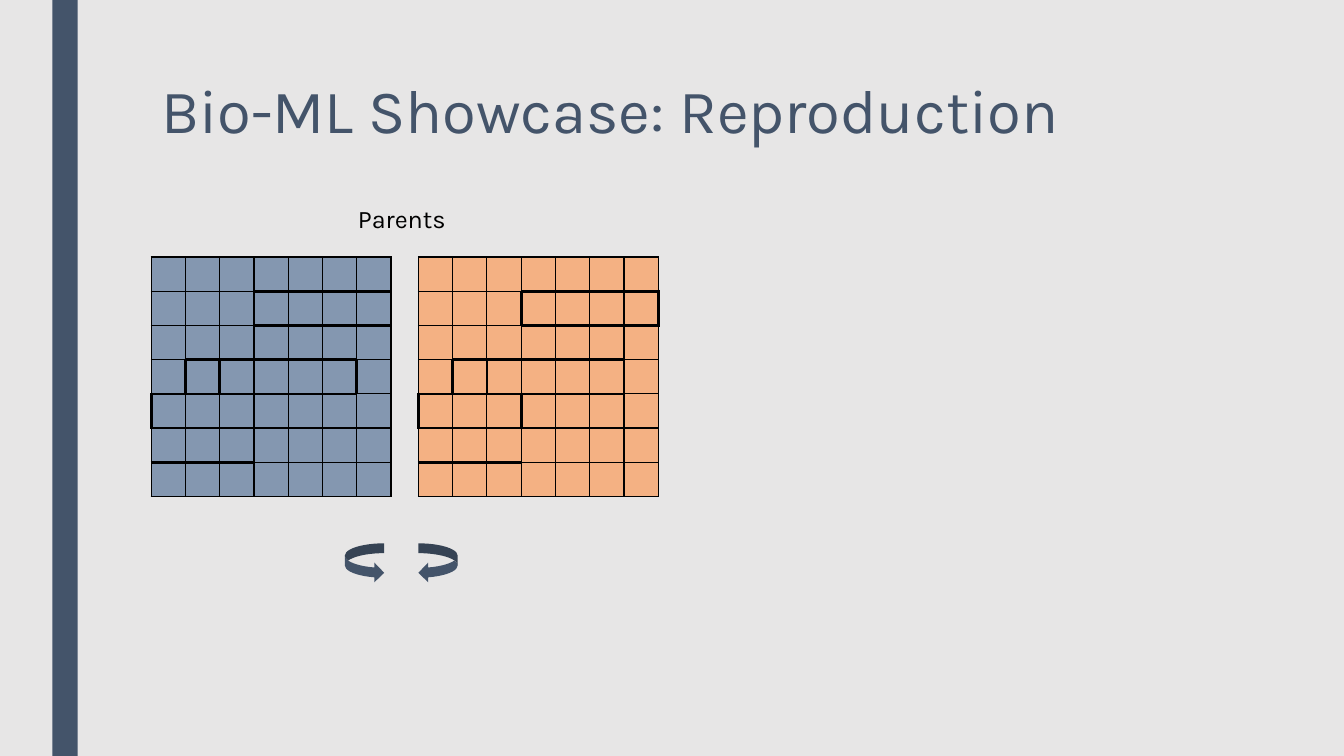
"""Build the Bio-ML reproduction slide with two parent grids and mating arrows."""
from dataclasses import dataclass
from itertools import product

from lxml.etree import SubElement
from pptx import Presentation
from pptx.dml.color import RGBColor
from pptx.enum.shapes import MSO_SHAPE as Shape
from pptx.enum.text import PP_ALIGN as Align
from pptx.oxml.ns import qn
from pptx.util import Inches, Length, Pt

NAVY = RGBColor(0x44, 0x54, 0x6A)
BLACK = RGBColor(0x00, 0x00, 0x00)
GREY = RGBColor(0xE7, 0xE6, 0xE6)
BLUE = RGBColor(0x84, 0x97, 0xB0)
ORANGE = RGBColor(0xF4, 0xB1, 0x83)

FONT = "Karla"
SLIDE_WIDTH, SLIDE_HEIGHT = Inches(13.33), Inches(7.5)
GRID_SIZE = 7
THIN, THICK = Pt(1), Pt(2.25)
OFFSETS = {"L": (0, -1, "R"), "R": (0, 1, "L"), "T": (-1, 0, "B"), "B": (1, 0, "T")}


@dataclass(frozen=True)
class Area:
    """A rectangle in percent of the slide's width and height."""
    left: float
    top: float
    width: float
    height: float

    def lengths(self) -> tuple[Length, Length, Length, Length]:
        """Return left, top, width and height as slide lengths."""
        return (across(self.left), down(self.top), across(self.width), down(self.height))


@dataclass(frozen=True)
class Label:
    """A line of text and its look."""
    text: str
    area: Area
    size: int
    color: RGBColor
    align: Align = Align.LEFT
    spacing: float = 1.0


@dataclass(frozen=True)
class Block:
    """A shape without outline."""
    kind: Shape
    area: Area


@dataclass(frozen=True)
class Gene:
    """A run of cells in one row with heavy sides."""
    row: int
    first: int
    last: int
    sides: str = "LRTB"


@dataclass(frozen=True)
class Parent:
    """A coloured grid and its left edge in percent."""
    left: float
    color: RGBColor


LABELS = (
    Label("Bio-ML Showcase: Reproduction", Area(11.25, 10, 78.77, 21.6), 44, NAVY, spacing=0.89),
    Label("Parents", Area(24.53, 26.27, 10.73, 5.33), 18, BLACK, Align.CENTER),
)
BAR = Block(Shape.RECTANGLE, Area(3.9, 0, 1.88, 100))
ARROWS = (
    Block(Shape.CURVED_RIGHT_ARROW, Area(25.66, 71.87, 2.93, 5.2)),
    Block(Shape.CURVED_LEFT_ARROW, Area(31.13, 71.87, 2.93, 5.2)),
)
PARENTS = (Parent(11.25, BLUE), Parent(31.13, ORANGE))
GENES = (
    Gene(1, 3, 6),
    Gene(3, 1, 1),
    Gene(3, 2, 5),
    Gene(4, 0, 2),
    Gene(4, 3, 3, "B"),
    Gene(5, 0, 2, "B"),
)


def across(percent: float) -> Length:
    """Return a share of the slide's width."""
    return Length(round(SLIDE_WIDTH * percent / 100))


def down(percent: float) -> Length:
    """Return a share of the slide's height."""
    return Length(round(SLIDE_HEIGHT * percent / 100))


def heavy_edges() -> set[tuple[int, int, str]]:
    """Return every heavy cell side, seen from both cells that share it."""
    edges = set()
    for gene in GENES:
        for column, side in product(range(gene.first, gene.last + 1), gene.sides):
            if side == "L" and column != gene.first or side == "R" and column != gene.last:
                continue
            row_step, column_step, opposite = OFFSETS[side]
            edges.add((gene.row, column, side))
            edges.add((gene.row + row_step, column + column_step, opposite))
    return edges


def draw_label(shapes, label: Label) -> None:
    """Add a text box."""
    frame = shapes.add_textbox(*label.area.lengths()).text_frame
    frame.word_wrap = True
    para = frame.paragraphs[0]
    para.text = label.text
    para.alignment = label.align
    para.line_spacing = label.spacing
    para.font.name = FONT
    para.font.size = Pt(label.size)
    para.font.color.rgb = label.color


def draw_block(shapes, block: Block) -> None:
    """Add a navy shape without outline or shadow."""
    shape = shapes.add_shape(block.kind, *block.area.lengths())
    shape.fill.solid()
    shape.fill.fore_color.rgb = NAVY
    shape.line.fill.background()
    shape.shadow.inherit = False


def draw_borders(cell, widths: dict[str, Length]) -> None:
    """Give each side of a cell a black line of its own width."""
    properties = cell._tc.get_or_add_tcPr()
    for index, side in enumerate("LRTB"):
        line = SubElement(properties, qn(f"a:ln{side}"), w=str(widths[side]))
        fill = SubElement(line, qn("a:solidFill"))
        SubElement(fill, qn("a:srgbClr"), val=str(BLACK))
        properties.insert(index, line)


def draw_parent(shapes, parent: Parent) -> None:
    """Add a grid with its genes outlined."""
    area = Area(parent.left, 34, 2.55 * GRID_SIZE, 4.53 * GRID_SIZE)
    table = shapes.add_table(GRID_SIZE, GRID_SIZE, *area.lengths()).table
    table.first_row = table.horz_banding = False
    heavy = heavy_edges()
    for row, column in product(range(GRID_SIZE), repeat=2):
        cell = table.cell(row, column)
        cell.margin_top = cell.margin_bottom = 0
        cell.fill.solid()
        cell.fill.fore_color.rgb = parent.color
        draw_borders(cell, {side: THICK if (row, column, side) in heavy else THIN for side in "LRTB"})


def main() -> None:
    """Build and save the deck."""
    deck = Presentation()
    deck.slide_width, deck.slide_height = SLIDE_WIDTH, SLIDE_HEIGHT
    page = deck.slides.add_slide(deck.slide_layouts[6])
    page.background.fill.solid()
    page.background.fill.fore_color.rgb = GREY
    draw_block(page.shapes, BAR)
    for parent in PARENTS:
        draw_parent(page.shapes, parent)
    for label in LABELS:
        draw_label(page.shapes, label)
    arrow_group = page.shapes.add_group_shape()
    for arrow in ARROWS:
        draw_block(arrow_group.shapes, arrow)
    deck.save("out.pptx")


if __name__ == "__main__":
    main()
